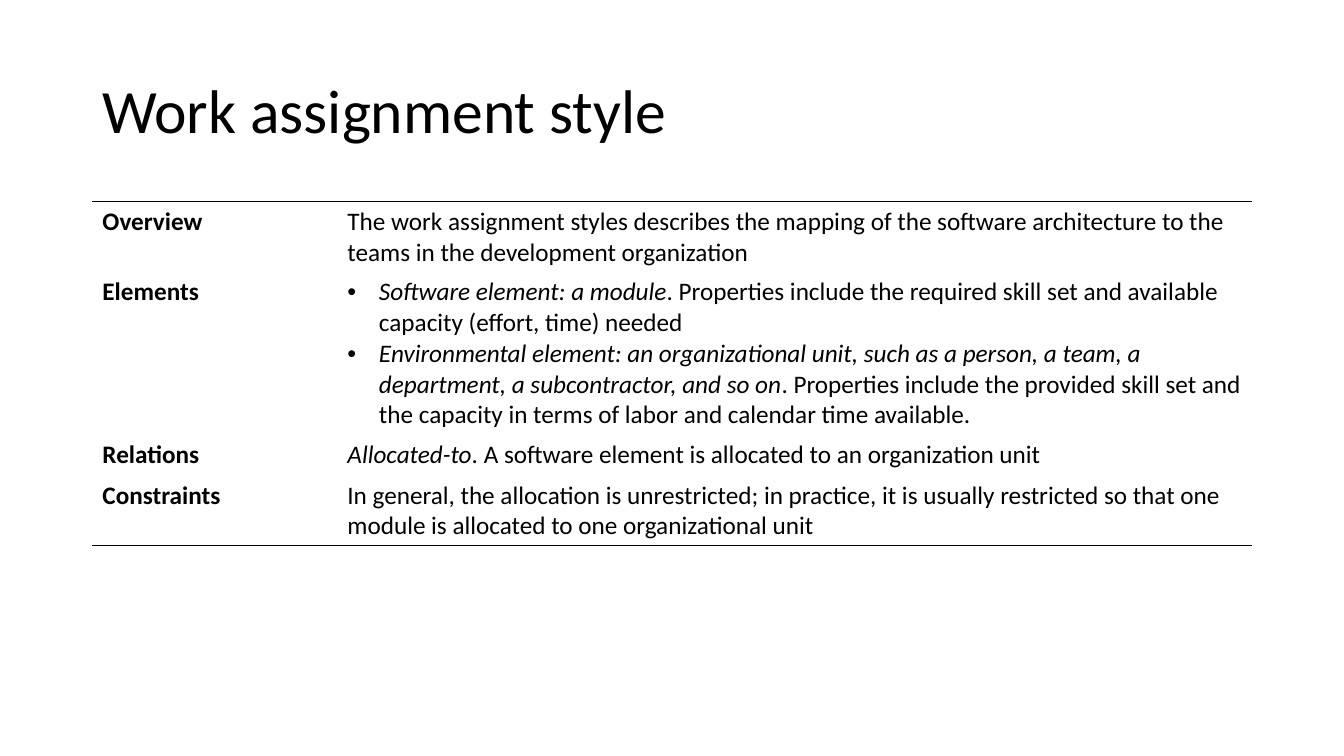
from lxml import etree
from pptx import Presentation
from pptx.dml.color import RGBColor
from pptx.enum.text import MSO_ANCHOR
from pptx.oxml.ns import qn
from pptx.util import Pt

MIDDLE = MSO_ANCHOR.MIDDLE
BLACK = "000000"
LEFT, WIDTH = 66, 828
LABEL_WIDTH = 175
BULLET_INDENT = 22.5


def color(value):
    return RGBColor.from_string(value)


def write(paragraph, text, font="Calibri", size=18, ink=BLACK, bold=False, italic=False):
    run = paragraph.add_run()
    run.text = text
    run.font.name = font
    run.font.size = Pt(size)
    run.font.color.rgb = color(ink)
    run.font.bold = bold
    run.font.italic = italic


def add_bullet(paragraph):
    properties = paragraph._p.get_or_add_pPr()
    properties.set("marL", str(Pt(BULLET_INDENT)))
    properties.set("indent", str(-Pt(BULLET_INDENT)))
    etree.SubElement(properties, qn("a:buFont"), typeface="Arial")
    etree.SubElement(properties, qn("a:buChar"), char="•")


def set_borders(cell, ruled_sides):
    properties = cell._tc.get_or_add_tcPr()
    for side in "LRTB":
        border = etree.SubElement(properties, qn("a:ln" + side), w=str(Pt(1)))
        if side in ruled_sides:
            fill = etree.SubElement(border, qn("a:solidFill"))
            etree.SubElement(fill, qn("a:srgbClr"), val=BLACK)
        else:
            etree.SubElement(border, qn("a:noFill"))


class StyleSlide:
    def __init__(self, presentation):
        self.slide = presentation.slides.add_slide(presentation.slide_layouts[6])

    def title(self, text, top, height):
        box = self.slide.shapes.add_textbox(Pt(LEFT), Pt(top), Pt(WIDTH), Pt(height))
        frame = box.text_frame
        frame.word_wrap = True
        frame.vertical_anchor = MIDDLE
        heading = frame.paragraphs[0]
        heading.line_spacing = 0.9
        write(heading, text, size=44)

    def table(self, sections, top):
        height = sum(section[1] for section in sections)
        table = self.slide.shapes.add_table(
            len(sections), 2, Pt(LEFT), Pt(top), Pt(WIDTH), Pt(height)).table
        table.first_row = table.horz_banding = False
        table.columns[0].width = Pt(LABEL_WIDTH)
        table.columns[1].width = Pt(WIDTH - LABEL_WIDTH)
        for index, (label, row_height, entries) in enumerate(sections):
            table.rows[index].height = Pt(row_height)
            ruled_sides = {0: "T", len(sections) - 1: "B"}.get(index, "")
            label_cell, detail_cell = table.rows[index].cells
            for cell in (label_cell, detail_cell):
                set_borders(cell, ruled_sides)
                cell.fill.background()
            write(label_cell.text_frame.paragraphs[0], label, bold=True)
            self.details(detail_cell.text_frame, entries)

    def details(self, frame, entries):
        for index, (term, description) in enumerate(entries):
            paragraph = frame.add_paragraph() if index else frame.paragraphs[0]
            if len(entries) > 1:
                add_bullet(paragraph)
            if term:
                write(paragraph, term, italic=True)
            write(paragraph, description)


SECTIONS = [
    ("Overview", 50.4, [
        ("", "The work assignment styles describes the mapping of the software "
             "architecture to the teams in the development organization")]),
    ("Elements", 116, [
        ("Software element: a module",
         ". Properties include the required skill set and available capacity "
         "(effort, time) needed"),
        ("Environmental element: an organizational unit, such as a person, a team, "
         "a department, a subcontractor, and so on",
         ". Properties include the provided skill set and the capacity in terms of "
         "labor and calendar time available.")]),
    ("Relations", 29.2, [
        ("Allocated-to", ". A software element is allocated to an organization unit")]),
    ("Constraints", 50.4, [
        ("", "In general, the allocation is unrestricted; in practice, it is usually "
             "restricted so that one module is allocated to one organizational unit")]),
]

presentation = Presentation()
presentation.slide_width = Pt(960)
presentation.slide_height = Pt(540)
style_slide = StyleSlide(presentation)
style_slide.title("Work assignment style", top=28.75, height=104.4)
style_slide.table(SECTIONS, top=143.75)
presentation.save("out.pptx")
